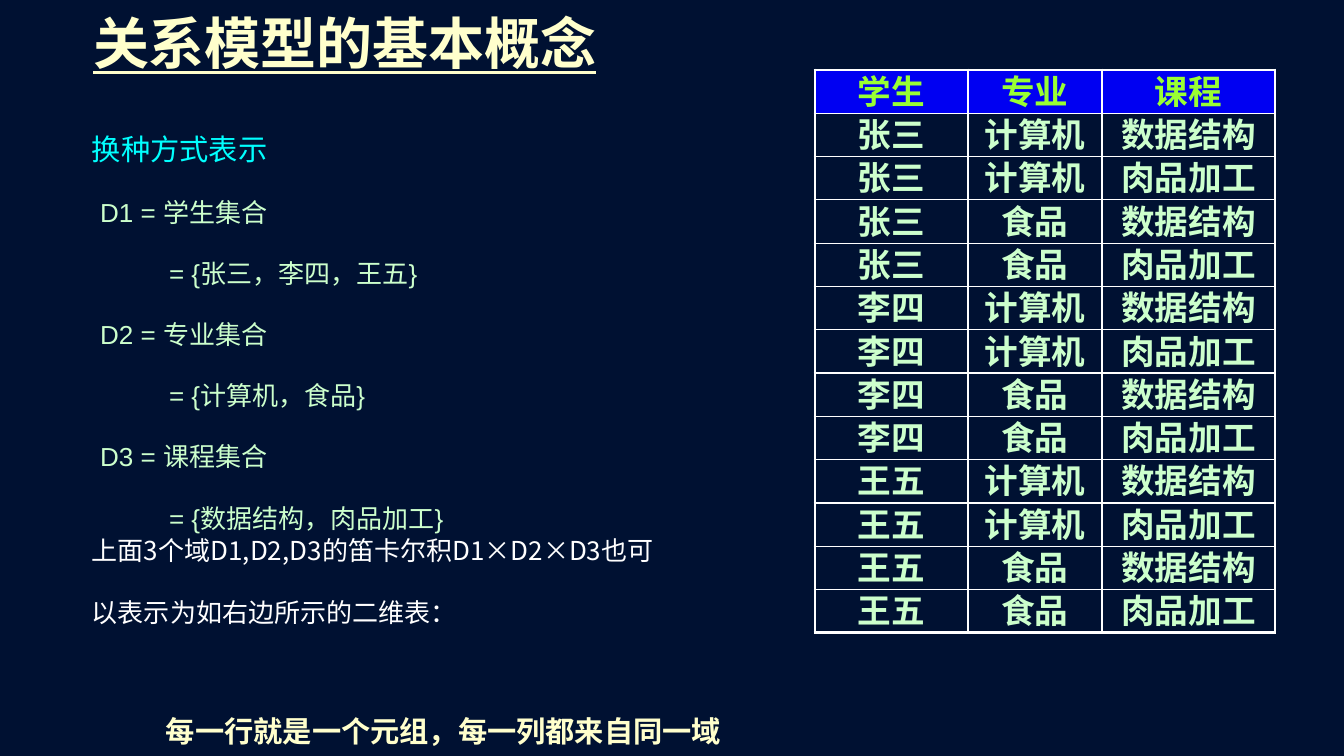
from itertools import product

from lxml.etree import SubElement, fromstring
from pptx import Presentation
from pptx.dml.color import RGBColor
from pptx.enum.text import MSO_ANCHOR, MSO_AUTO_SIZE, PP_ALIGN
from pptx.oxml.ns import qn
from pptx.util import Emu, Pt

PX = 914400 / 100.8
NAVY = RGBColor(0x00, 0x11, 0x32)
CREAM = RGBColor(0xFF, 0xFF, 0xCC)
MINT = RGBColor(0xCC, 0xFF, 0xCC)
CYAN = RGBColor(0x00, 0xFF, 0xFF)
WHITE = RGBColor(0xFF, 0xFF, 0xFF)
BLUE = RGBColor(0x00, 0x00, 0xF2)
LIME = RGBColor(0x99, 0xFF, 0x33)
CJK = "Noto Sans CJK SC"
NS = "http://schemas.openxmlformats.org/drawingml/2006/main"


def px(*values):
    return [Emu(round(v * PX)) for v in values]


def set_font(item, size, color, bold=False, name=CJK):
    f = item.font
    f.size, f.bold, f.name = Pt(size), bold, name
    f.color.rgb = color
    SubElement(f._element, qn("a:ea")).set("typeface", CJK)


prs = Presentation()
prs.slide_width, prs.slide_height = px(1344, 756)
s = prs.slides.add_slide(prs.slide_layouts[1])
s.background.fill.solid()
s.background.fill.fore_color.rgb = NAVY

# Title
title = s.shapes.title
title.left, title.top, title.width, title.height = px(85, 0, 525, 84)
tf = title.text_frame
tf.word_wrap = False
tf.auto_size = MSO_AUTO_SIZE.NONE
tf.vertical_anchor = MSO_ANCHOR.MIDDLE
tf.margin_left, tf.margin_top, tf.margin_right, tf.margin_bottom = px(8, 8, 8, 8)
p = tf.paragraphs[0]
p.alignment = PP_ALIGN.LEFT
r = p.add_run()
r.text = "关系模型的基本概念"
set_font(r, 40, CREAM, bold=True)
r.font.underline = True
shadow = fromstring(
    f'<a:effectLst xmlns:a="{NS}"><a:outerShdw dist="38100" dir="2700000">'
    '<a:srgbClr val="000000"/></a:outerShdw></a:effectLst>')
r.font._element.find(qn("a:solidFill")).addnext(shadow)

# Domain definitions
body = s.placeholders[1]
body.left, body.top, body.width, body.height = px(90, 161, 583, 377)
tf = body.text_frame
tf.auto_size = MSO_AUTO_SIZE.NONE
tf.vertical_anchor = MSO_ANCHOR.TOP
domains = [
    ("D1 = 学生集合", 43), ("\t= {张三，李四，王五}", 69),
    ("D2 = 专业集合", 43), ("\t= {计算机，食品}", 69),
    ("D3 = 课程集合", 43), ("\t= {数据结构，肉品加工}", 69),
]
for i, (text, indent) in enumerate(domains):
    p = tf.paragraphs[0] if i == 0 else tf.add_paragraph()
    p.text = text
    p.space_before = Pt(0)
    p.line_spacing = Pt(43.7)
    pPr = p._p.get_or_add_pPr()
    hang = px(indent)[0]
    pPr.set("marL", str(hang))
    pPr.set("indent", str(-hang))
    SubElement(pPr, qn("a:buNone"))
    set_font(p, 18.6, MINT, name="Arial")

# Subtitle, Cartesian product and closing remark
remarks = [
    ("换种方式表示", (82, 93, 600, 80), 20.9, 49.2, CYAN, False),
    ("上面3个域D1,D2,D3的笛卡尔积D1×D2×D3也可以表示为如右边所示的二维表：",
     (82, 500, 588, 151), 18.6, 43.7, WHITE, False),
    ("每一行就是一个元组，每一列都来自同一域", (156, 675, 1051, 80), 20.9, 49.2, CREAM, True),
]
for text, box, size, pitch, color, bold in remarks:
    tf = s.shapes.add_textbox(*px(*box)).text_frame
    tf.word_wrap = True
    p = tf.paragraphs[0]
    p.text = text
    p.line_spacing = Pt(pitch)
    set_font(p, size, color, bold)

# Cartesian product table
header = ("学生", "专业", "课程")
rows = [header, *product(("张三", "李四", "王五"), ("计算机", "食品"), ("数据结构", "肉品加工"))]
widths = px(153, 134, 173)
last_row, last_col = len(rows) - 1, len(header) - 1
table = s.shapes.add_table(len(rows), len(header), *px(815, 70, 460, 563)).table
table.first_row = table.horz_banding = False
for column, width in zip(table.columns, widths):
    column.width = width
for i, row in enumerate(rows):
    table.rows[i].height = px(563 / len(rows))[0]
    for j, text in enumerate(row):
        cell = table.cell(i, j)
        cell.margin_left = cell.margin_right = cell.margin_top = cell.margin_bottom = 0
        tcPr = cell._tc.get_or_add_tcPr()
        edges = {"lnL": j == 0, "lnR": j == last_col, "lnT": i == 0, "lnB": i == last_row}
        for tag, outer in edges.items():
            ln = SubElement(tcPr, qn(f"a:{tag}"), w=str(Pt(2.25 if outer else 1)))
            SubElement(SubElement(ln, qn("a:solidFill")), qn("a:srgbClr"), val=str(WHITE))
        if i == 0:
            cell.fill.solid()
            cell.fill.fore_color.rgb = BLUE
        else:
            cell.fill.background()
        p = cell.text_frame.paragraphs[0]
        p.text = text
        p.alignment = PP_ALIGN.CENTER
        p.line_spacing = 0.88
        set_font(p, 24, LIME if i == 0 else MINT, bold=True)

prs.save("out.pptx")
